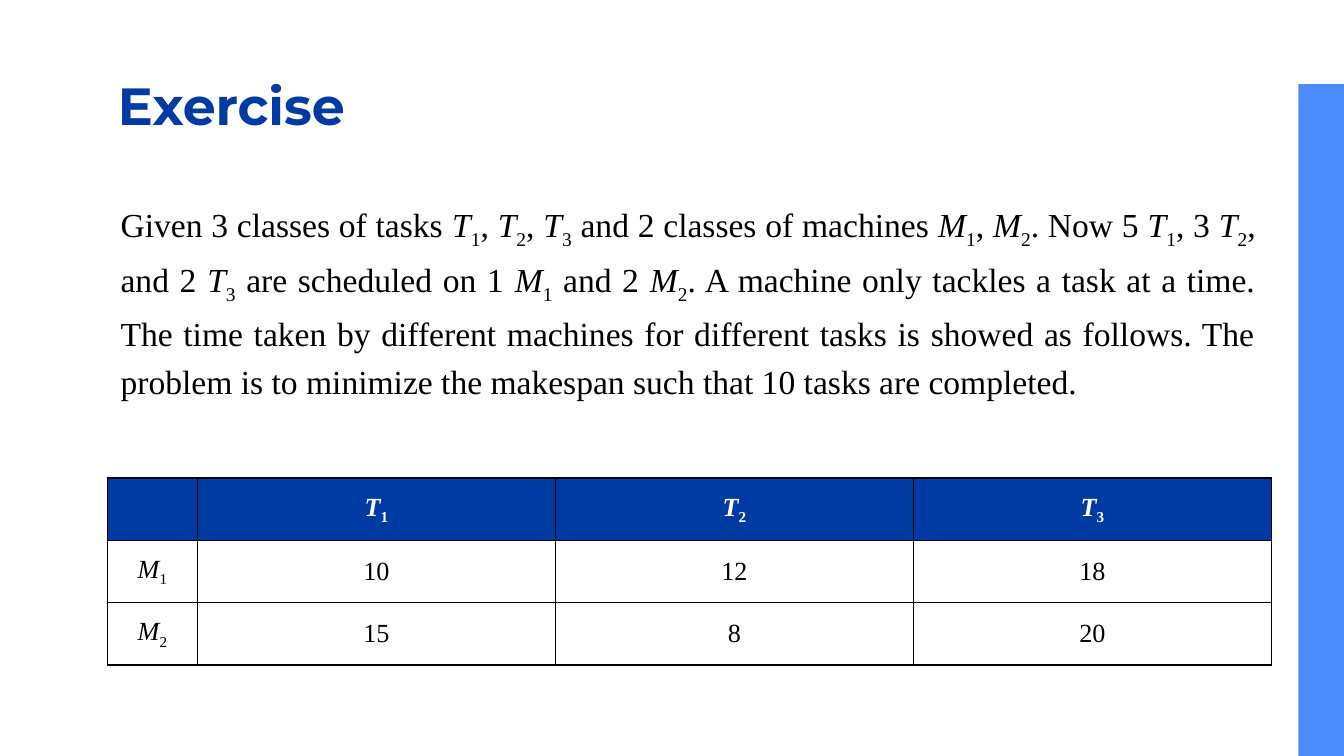
from dataclasses import dataclass

from lxml import etree
from pptx import Presentation
from pptx import util as u
from pptx.dml.color import RGBColor
from pptx.enum import shapes, text
from pptx.oxml.ns import qn


@dataclass(frozen=True)
class Theme:
    navy: str = "003BA3"
    sky: str = "4A8CFF"
    black: str = "000000"
    white: str = "FFFFFF"
    heading_font: str = "Montserrat"
    body_font: str = "Times New Roman"
    title_size: int = 28
    body_size: int = 18
    table_size: int = 14
    border_width: int = 1
    subscript: int = -25


@dataclass(frozen=True)
class Box:
    """Position and size in centimetres."""
    left: float
    top: float
    width: float
    height: float

    def lengths(self) -> list[u.Cm]:
        return [u.Cm(v) for v in (self.left, self.top, self.width, self.height)]


THEME = Theme()
SLIDE_WIDTH, SLIDE_HEIGHT = 25.4, 14.29
INSET = 0.25

# Symbols stand between bars: |T1| is an italic T with a subscript 1
PROBLEM = (
    "Given 3 classes of tasks |T1|, |T2|, |T3| and 2 classes of machines |M1|, |M2|. "
    "Now 5 |T1|, 3 |T2|, and 2 |T3| are scheduled on 1 |M1| and 2 |M2|. "
    "A machine only tackles a task at a time. The time taken by different machines "
    "for different tasks is showed as follows. The problem is to minimize the makespan "
    "such that 10 tasks are completed."
)
TIMES = [
    ["", "|T1|", "|T2|", "|T3|"],
    ["|M1|", "10", "12", "18"],
    ["|M2|", "15", "8", "20"],
]


def write(frame, content: str, *, size: int, color: str, font: str = THEME.body_font,
          bold: bool = False, align=text.PP_ALIGN.LEFT, spacing: float = 1.0) -> None:
    """Fill a text frame, setting symbols in italics with subscripts."""
    paragraph = frame.paragraphs[0]
    paragraph.alignment = align
    paragraph.line_spacing = spacing

    def add_run(words: str, italic: bool = False, baseline: int = 0) -> None:
        run = paragraph.add_run()
        run.text = words
        run.font.name = font
        run.font.size = u.Pt(size)
        run.font.bold = bold
        run.font.italic = italic
        run.font.color.rgb = RGBColor.from_string(color)
        if baseline:
            run.font._element.set("baseline", str(baseline * 1000))

    for index, piece in enumerate(content.split("|")):
        if index % 2:
            add_run(piece[0], italic=True)
            add_run(piece[1:], baseline=THEME.subscript)
        elif piece:
            add_run(piece)


def add_text(slide, box: Box, content: str, *, anchor=text.MSO_ANCHOR.TOP,
             **style) -> None:
    frame = slide.shapes.add_textbox(*box.lengths()).text_frame
    frame.word_wrap = True
    frame.vertical_anchor = anchor
    write(frame, content, **style)


def add_bar(slide, box: Box, color: str) -> None:
    bar = slide.shapes.add_shape(shapes.MSO_SHAPE.RECTANGLE, *box.lengths())
    bar.shadow.inherit = False
    bar.fill.solid()
    bar.fill.fore_color.rgb = RGBColor.from_string(color)
    bar.line.fill.background()


def set_borders(cell, color: str, width: float) -> None:
    properties = cell._tc.get_or_add_tcPr()
    for side in ("lnL", "lnR", "lnT", "lnB"):
        line = etree.SubElement(properties, qn(f"a:{side}"), w=str(u.Pt(width)))
        fill = etree.SubElement(line, qn("a:solidFill"))
        etree.SubElement(fill, qn("a:srgbClr"), val=color)


def add_times_table(slide, box: Box, rows: list[list[str]], label_width: float) -> None:
    columns = len(rows[0])
    table = slide.shapes.add_table(len(rows), columns, *box.lengths()).table
    table.first_row = table.horz_banding = False
    task_width = (box.width - label_width) / (columns - 1)
    for index, column in enumerate(table.columns):
        column.width = u.Cm(task_width if index else label_width)

    for row_index, values in enumerate(rows):
        header = row_index == 0
        for column_index, value in enumerate(values):
            cell = table.cell(row_index, column_index)
            cell.vertical_anchor = text.MSO_ANCHOR.MIDDLE
            cell.margin_left = cell.margin_right = u.Cm(INSET)
            cell.margin_top = cell.margin_bottom = u.Cm(0.1)
            set_borders(cell, THEME.black, THEME.border_width)
            cell.fill.solid()
            cell.fill.fore_color.rgb = RGBColor.from_string(
                THEME.navy if header else THEME.white)
            write(cell.text_frame, value, size=THEME.table_size, bold=header,
                  color=THEME.white if header else THEME.black,
                  align=text.PP_ALIGN.CENTER)


def main() -> None:
    deck = Presentation()
    deck.slide_width, deck.slide_height = u.Cm(SLIDE_WIDTH), u.Cm(SLIDE_HEIGHT)
    slide = deck.slides.add_slide(deck.slide_layouts[6])

    # Side bar
    add_bar(slide, Box(24.54, 1.59, 0.86, 12.7), THEME.sky)

    # Title
    add_text(slide, Box(1.98, 1.07, 21.95, 1.8), "Exercise",
             anchor=text.MSO_ANCHOR.MIDDLE, font=THEME.heading_font,
             size=THEME.title_size, color=THEME.navy, bold=True)

    # Processing times
    add_times_table(slide, Box(2.03, 9.04, 22, 3.53), TIMES, label_width=1.7)

    # Problem statement
    add_text(slide, Box(2.03, 3.56, 21.95, 3.89), PROBLEM, size=THEME.body_size,
             color=THEME.black, align=text.PP_ALIGN.JUSTIFY, spacing=1.2)

    deck.save("out.pptx")


if __name__ == "__main__":
    main()
